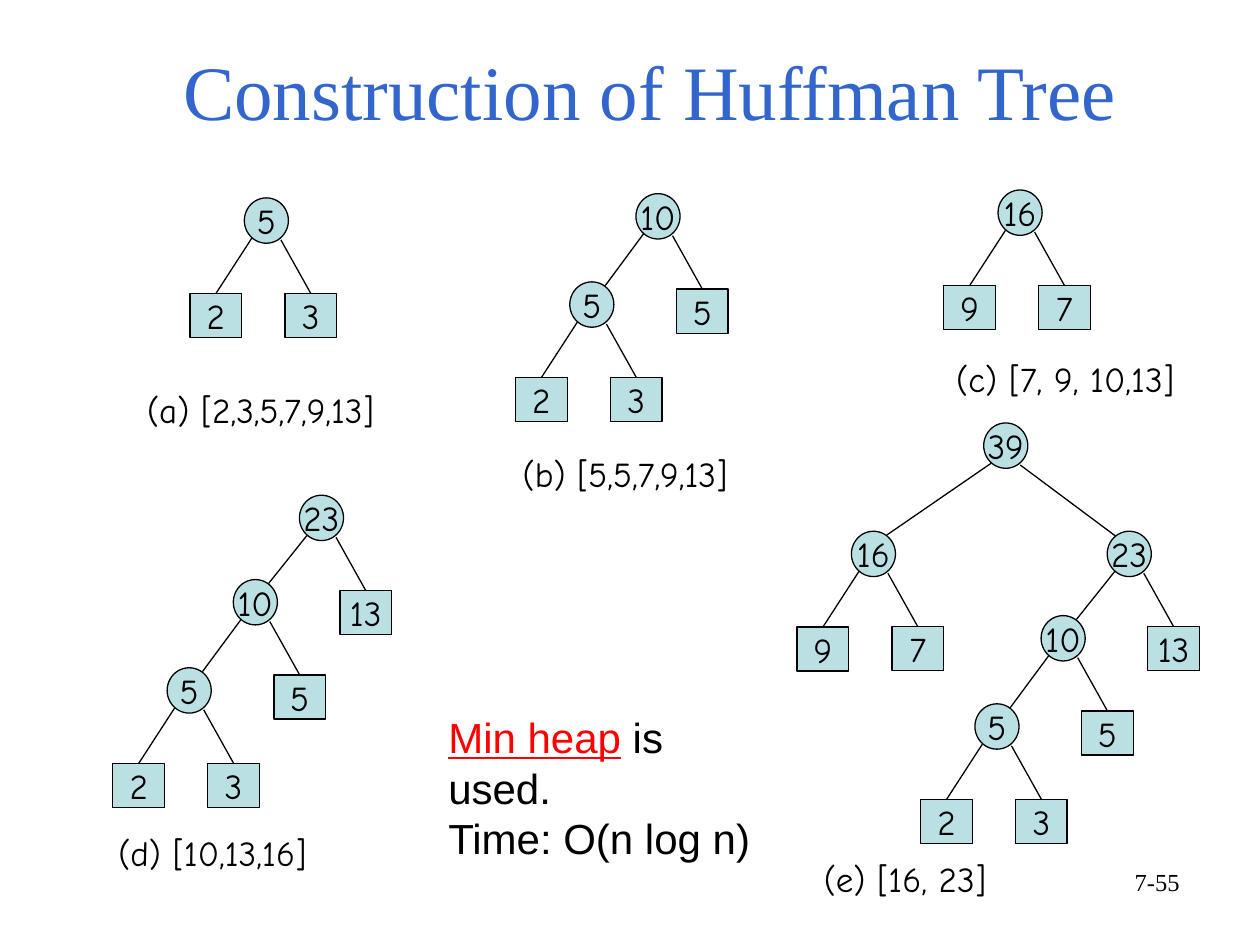
"""Build a slide showing the steps of constructing a Huffman tree."""
from dataclasses import dataclass
from typing import Optional

import pptx
import pptx.dml.color
import pptx.enum.shapes
import pptx.enum.text
import pptx.oxml.ns
import pptx.util
from lxml import etree

Pt = pptx.util.Pt
Align = pptx.enum.text.PP_ALIGN
Anchor = pptx.enum.text.MSO_ANCHOR
Shape = pptx.enum.shapes.MSO_SHAPE

CIRCLE_SIZE = (25.2, 25.9)
LEAF_SIZE = (29.5, 25.2)
LEFT_LEAF_OFFSET = (-31, 54.7)
RIGHT_LEAF_OFFSET = (23.2, 54.5)
EDGE_STARTS = ((4.3, 23), (20.9, 24))
EDGE_ENDS = ((20.2, 2.2), (5, 2.9))


@dataclass(frozen=True)
class Theme:
    """Colours, fonts and type sizes of the slide."""
    title: str = "3366CC"
    ink: str = "000000"
    accent: str = "FF0000"
    node: str = "BBE0E3"
    serif: str = "Times New Roman"
    sans: str = "Arial"
    hand: str = "Comic Neue"
    title_size: float = 44
    note_size: float = 24
    label_size: float = 20
    number_size: float = 14
    line_width: float = 0.75
    note_leading: float = 28.8


THEME = Theme()


@dataclass(frozen=True)
class Node:
    """A tree node, a leaf when it has no children."""
    label: str
    left: Optional["Node"] = None
    right: Optional["Node"] = None
    left_offset: tuple = LEFT_LEAF_OFFSET
    right_offset: tuple = RIGHT_LEAF_OFFSET


def colour(value):
    """Return a colour object for a hexadecimal string."""
    return pptx.dml.color.RGBColor.from_string(value)


def add_run(paragraph, text, font, size, ink=THEME.ink, underline=None):
    """Append one formatted run to a paragraph."""
    run = paragraph.add_run()
    run.text = text
    run.font.name = font
    run.font.size = Pt(size)
    run.font.color.rgb = colour(ink)
    run.font.underline = underline


def add_text_box(slide, left, top, width, height):
    """Add a wrapping text box and return its text frame."""
    box = slide.shapes.add_textbox(Pt(left), Pt(top), Pt(width), Pt(height))
    box.text_frame.word_wrap = True
    return box.text_frame


def add_title(slide, text):
    """Add the slide title."""
    frame = add_text_box(slide, 54, 19.4, 635, 62)
    frame.vertical_anchor = Anchor.BOTTOM
    frame.paragraphs[0].alignment = Align.CENTER
    add_run(frame.paragraphs[0], text, THEME.serif, THEME.title_size, THEME.title)


def add_caption(slide, text, left, top, width):
    """Add the caption of one construction step."""
    frame = add_text_box(slide, left, top, width, 31.7)
    add_run(frame.paragraphs[0], text, THEME.hand, THEME.label_size)


def add_note(slide):
    """Add the remark on the heap and the running time."""
    frame = add_text_box(slide, 249.1, 403.2, 198.7, 93.6)
    first, second = frame.paragraphs[0], frame.add_paragraph()
    for paragraph in (first, second):
        paragraph.line_spacing = Pt(THEME.note_leading)
    add_run(first, "Min heap", THEME.sans, THEME.note_size, THEME.accent, True)
    add_run(first, " is used.", THEME.sans, THEME.note_size)
    add_run(second, "Time: O(n log n)", THEME.sans, THEME.note_size)


def add_slide_number(slide, text):
    """Add the page number at the lower right."""
    frame = add_text_box(slide, 513.4, 491.8, 167.8, 37.4)
    frame.paragraphs[0].alignment = Align.RIGHT
    add_run(frame.paragraphs[0], text, THEME.serif, THEME.number_size)


def add_node(slide, node, left, top):
    """Add the circle or leaf rectangle of one node."""
    preset, size = (Shape.OVAL, CIRCLE_SIZE) if node.left else (Shape.RECTANGLE, LEAF_SIZE)
    shape = slide.shapes.add_shape(preset, Pt(left), Pt(top), *map(Pt, size))
    shape.shadow.inherit = False
    shape.fill.solid()
    shape.fill.fore_color.rgb = colour(THEME.node)
    shape.line.color.rgb = colour(THEME.ink)
    shape.line.width = Pt(THEME.line_width)
    frame = shape.text_frame
    frame.word_wrap = False
    frame.vertical_anchor = Anchor.MIDDLE
    frame.paragraphs[0].alignment = Align.CENTER
    add_run(frame.paragraphs[0], node.label, THEME.hand, THEME.label_size)
    return shape


def add_edge(slide, start, end):
    """Add a straight edge between two points."""
    edge = slide.shapes.add_connector(
        pptx.enum.shapes.MSO_CONNECTOR.STRAIGHT, *map(Pt, start + end))
    edge.line.color.rgb = colour(THEME.ink)
    edge.line.width = Pt(THEME.line_width)
    etree.SubElement(edge._element.spPr, pptx.oxml.ns.qn("a:effectLst"))
    return edge


def shift(point, offset):
    """Return a point moved by an offset."""
    return (point[0] + offset[0], point[1] + offset[1])


def add_tree(slide, node, position):
    """Add a node and everything below it, and return its shape."""
    shape = add_node(slide, node, *position)
    if node.left:
        children = (node.left, node.right)
        offsets = (node.left_offset, node.right_offset)
        for child, offset, start, end in zip(children, offsets, EDGE_STARTS, EDGE_ENDS):
            corner = shift(position, offset)
            child_shape = add_tree(slide, child, corner)
            edge = add_edge(slide, shift(position, start), shift(corner, end))
            if not child.left:
                edge.end_connect(child_shape, 0)
    return shape


def main():
    """Build and save the slide."""
    presentation = pptx.Presentation()
    presentation.slide_width, presentation.slide_height = Pt(720), Pt(540)
    slide = presentation.slides.add_slide(presentation.slide_layouts[6])

    five = Node("5", Node("2"), Node("3"))
    ten = Node("10", five, Node("5"), left_offset=(-37.8, 50.4))
    sixteen = Node("16", Node("9"), Node("7"))
    twenty_three = Node("23", ten, Node("13"), left_offset=(-37.8, 48.2))
    root = Node("39", sixteen, twenty_three, (-75.6, 61.9), (70.6, 61.9))

    add_title(slide, "Construction of Huffman Tree")
    steps = (
        (five, (139.6, 113.1), "(a) [2,3,5,7,9,13]", (77, 218.2, 189.4)),
        (ten, (363.4, 110.7), "(b) [5,5,7,9,13]", (291.6, 254.9, 153.4)),
        (sixteen, (570.3, 108.6), "(c) [7, 9, 10,13]", (539.3, 200.9, 159.8)),
        (twenty_three, (171.1, 283), "(d) [10,13,16]", (60.5, 471.6, 193)),
        (root, (562.1, 241.7), "(e) [16, 23]", (463.7, 486.7, 126.7)),
    )
    for tree, position, caption, caption_place in steps:
        add_tree(slide, tree, position)
        add_caption(slide, caption, *caption_place)
    add_slide_number(slide, "7-55")
    add_note(slide)
    presentation.save("out.pptx")


if __name__ == "__main__":
    main()
